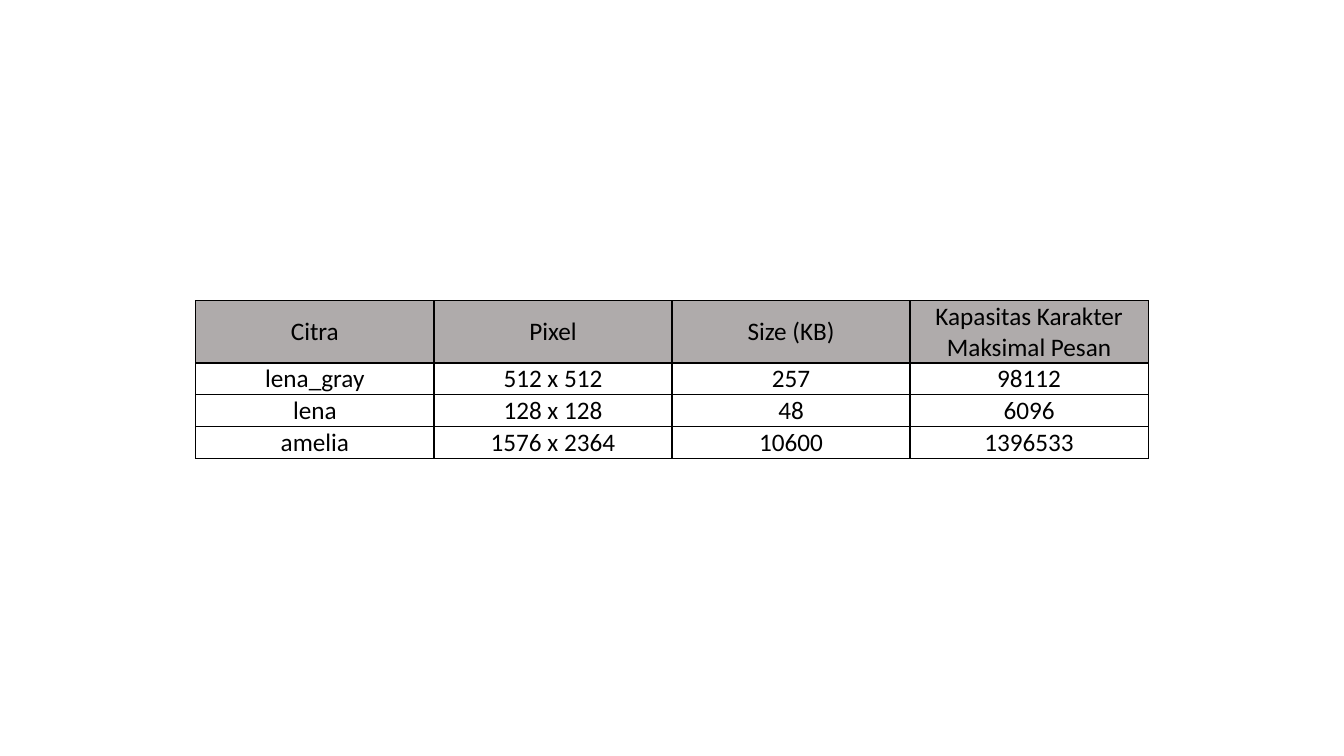
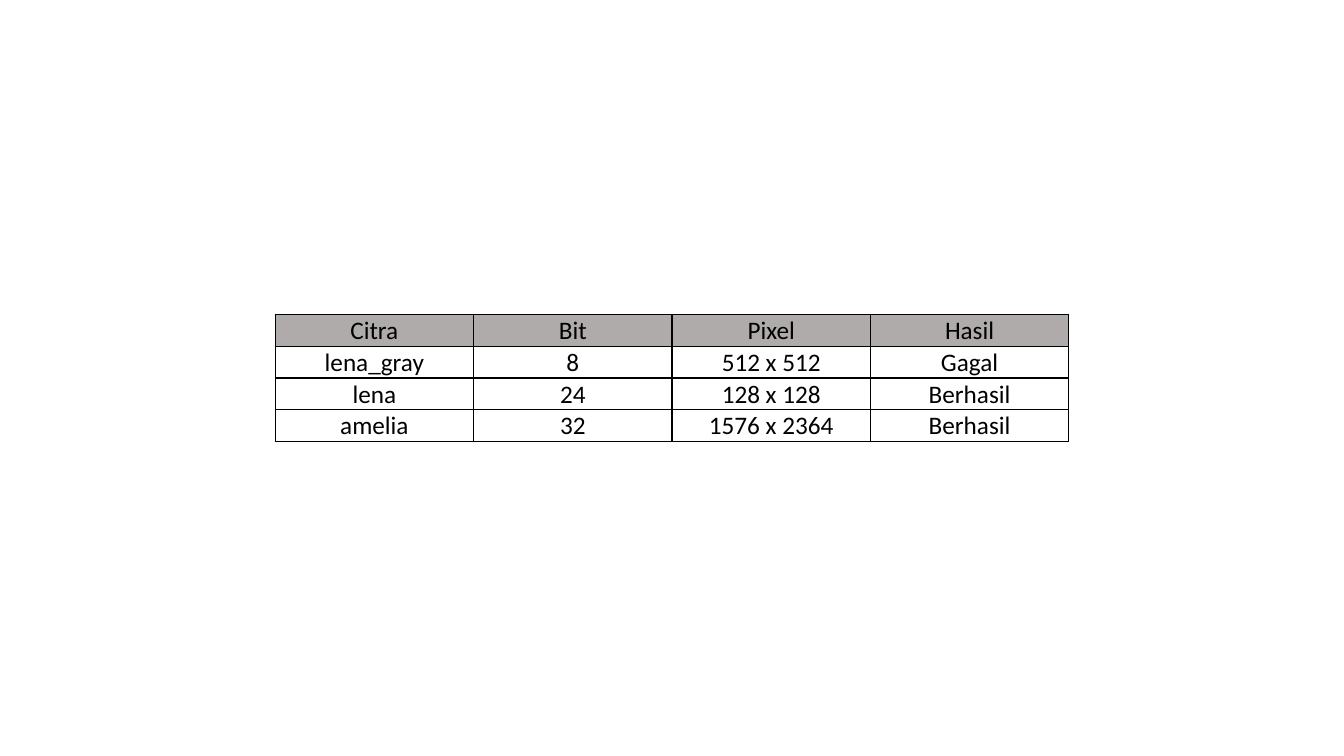
from lxml.etree import SubElement as Sub
from pptx import Presentation
from pptx.dml.color import RGBColor as RGB
from pptx.enum.text import MSO_ANCHOR as ANCHOR, PP_ALIGN as ALIGN
from pptx.oxml.ns import qn
from pptx.util import Cm, Pt

# Content
CAPACITY = [
    ("Citra", "Pixel", "Size (KB)", "Kapasitas Karakter Maksimal Pesan"),
    ("lena_gray", "512 x 512", "257", "98112"),
    ("lena", "128 x 128", "48", "6096"),
    ("amelia", "1576 x 2364", "10600", "1396533"),
]
RESULTS = [
    ("Citra", "Bit", "Pixel", "Hasil"),
    ("lena_gray", "8", "512 x 512", "Gagal"),
    ("lena", "24", "128 x 128", "Berhasil"),
    ("amelia", "32", "1576 x 2364", "Berhasil"),
]
# Rows, column width and header height in cm, vertical anchor
TABLES = [
    (CAPACITY, 6, 1.5, ANCHOR.MIDDLE),
    (RESULTS, 5, 0.8, ANCHOR.BOTTOM),
]

# Shared look
COLORS = {"header": "AFABAB", "text": "000000", "border": "000000"}
SLIDE_W, SLIDE_H, ROW_H = 33.87, 19.05, 0.8
FONT = {"name": "Calibri", "size": Pt(18), "bold": False}
CELL = {"margin_left": Cm(0.02), "margin_right": Cm(0.02),
        "margin_top": Cm(0.02), "margin_bottom": 0}
PLAIN = {"first_row": False, "horz_banding": False}


def set_all(obj, values):
    for name, value in values.items():
        setattr(obj, name, value)


def add_borders(cell):
    tc_pr = cell._tc.get_or_add_tcPr()
    for side in ("lnL", "lnR", "lnT", "lnB"):
        ln = Sub(tc_pr, qn("a:" + side), w=str(Pt(1)))
        fill = Sub(ln, qn("a:solidFill"))
        Sub(fill, qn("a:srgbClr"), val=COLORS["border"])


def write_cell(cell, text, is_header, anchor):
    set_all(cell, {**CELL, "vertical_anchor": anchor})
    add_borders(cell)
    if is_header:
        cell.fill.solid()
        cell.fill.fore_color.rgb = RGB.from_string(COLORS["header"])
    else:
        cell.fill.background()
    p = cell.text_frame.paragraphs[0]
    p.alignment = ALIGN.CENTER
    r = p.add_run()
    r.text = text
    set_all(r.font, FONT)
    r.font.color.rgb = RGB.from_string(COLORS["text"])


def add_centred_table(s, rows, col_w, header_h, anchor):
    heights = [header_h] + [ROW_H] * (len(rows) - 1)
    w, h = col_w * len(rows[0]), sum(heights)
    table = s.shapes.add_table(
        len(rows), len(rows[0]), Cm((SLIDE_W - w) / 2),
        Cm((SLIDE_H - h) / 2), Cm(w), Cm(h)).table
    set_all(table, PLAIN)
    for col in table.columns:
        col.width = Cm(col_w)
    for i, (row, height) in enumerate(zip(rows, heights)):
        table.rows[i].height = Cm(height)
        for j, text in enumerate(row):
            write_cell(table.cell(i, j), text, i == 0, anchor)


# Slides
prs = Presentation()
prs.slide_width, prs.slide_height = Cm(SLIDE_W), Cm(SLIDE_H)
for spec_row in TABLES:
    s = prs.slides.add_slide(prs.slide_layouts[6])
    add_centred_table(s, *spec_row)
prs.save("out.pptx")
